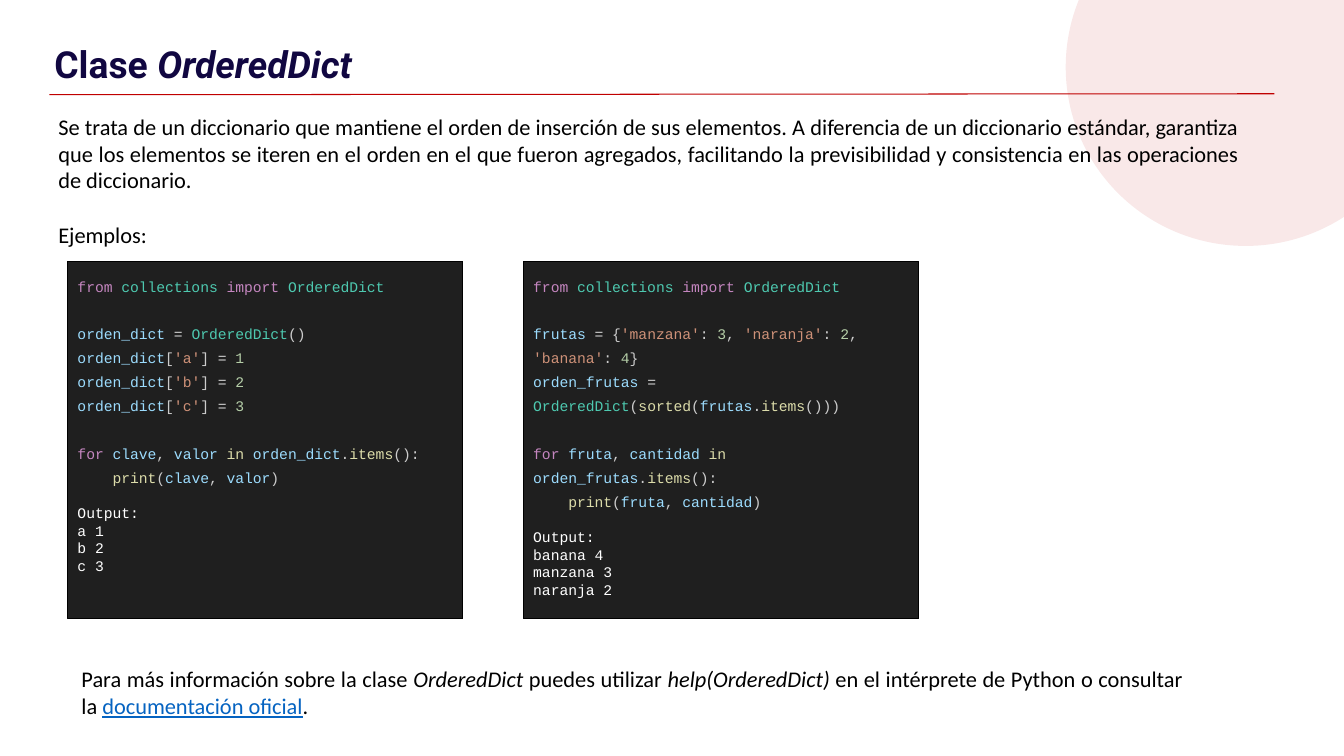
from itertools import groupby
from lxml.etree import SubElement as Sub
from pptx import Presentation
from pptx.dml.color import RGBColor
from pptx.enum.shapes import MSO_CONNECTOR as Conn, MSO_SHAPE as Kind
from pptx.enum.text import MSO_ANCHOR as Anchor, PP_ALIGN as Align
from pptx.oxml.ns import qn
from pptx.util import Pt

SCALE = 9144
RED = RGBColor(0xC0, 0x00, 0x00)
NAVY = RGBColor(0x11, 0x07, 0x41)
BLACK = RGBColor(0x00, 0x00, 0x00)
WHITE = RGBColor(0xFF, 0xFF, 0xFF)
BLUE = RGBColor(0x05, 0x63, 0xC1)
DARK = RGBColor(0x1F, 0x1F, 0x1F)
PINK = RGBColor(0xC5, 0x86, 0xC0)
TEAL = RGBColor(0x4E, 0xC9, 0xB0)
SAND = RGBColor(0xDC, 0xDC, 0xAA)
SKY = RGBColor(0x9C, 0xDC, 0xFE)
RUST = RGBColor(0xCE, 0x91, 0x78)
LIME = RGBColor(0xB5, 0xCE, 0xA8)
GRAY = RGBColor(0xCC, 0xCC, 0xCC)
PALE = RGBColor(0xD4, 0xD4, 0xD4)

WORDS = {
    **dict.fromkeys(("from", "import", "for"), PINK),
    **dict.fromkeys(("collections", "OrderedDict"), TEAL),
    **dict.fromkeys(("in", "items", "print", "sorted"), SAND),
    "=": PALE,
}

DICT_CODE = """from collections import OrderedDict

orden_dict = OrderedDict()
orden_dict['a'] = 1
orden_dict['b'] = 2
orden_dict['c'] = 3

for clave, valor in orden_dict.items():
    print(clave, valor)"""

FRUIT_CODE = """from collections import OrderedDict

frutas = {'manzana': 3, 'naranja': 2, 'banana': 4}
orden_frutas = OrderedDict(sorted(frutas.items()))

for fruta, cantidad in orden_frutas.items():
    print(fruta, cantidad)"""

INTRO = (
    "Se trata de un diccionario que mantiene el orden de inserción de sus elementos. "
    "A diferencia de un diccionario estándar, garantiza que los elementos se iteren en "
    "el orden en el que fueron agregados, facilitando la previsibilidad y consistencia "
    "en las operaciones de diccionario."
)


def px(*nums):
    return [num * SCALE for num in nums]


def group(char):
    if char.isalnum() or char in "_'":
        return "word"
    return "sign" if char == "=" else "rest"


def shade(token, kind):
    if token in WORDS:
        return WORDS[token]
    if kind == "rest":
        return GRAY
    if token[0] == "'":
        return RUST
    return LIME if token.isdigit() else SKY


class Deck:
    body, mono, head = "Calibri", "Courier New", "Roboto"
    text_size, code_size, head_size = 16, 10.5, 26.6
    text_gap, code_gap, out_gap = 19.5, 17, 12.5
    lead = 1.36

    def __init__(self, wide, high):
        self.prs = Presentation()
        self.prs.slide_width, self.prs.slide_height = px(wide, high)
        self.slide = self.prs.slides.add_slide(self.prs.slide_layouts[6])

    def shape(self, kind, box, fill, line=None, alpha=None):
        item = self.slide.shapes.add_shape(kind, *px(*box))
        item.shadow.inherit = False
        item.fill.solid()
        item.fill.fore_color.rgb = fill
        if alpha:
            tint = item.fill._xPr.find(".//" + qn("a:srgbClr"))
            Sub(tint, qn("a:alpha"), val=str(alpha * 1000))
        if line is None:
            item.line.fill.background()
        else:
            item.line.color.rgb = line
            item.line.width = Pt(0.75)
        return item

    def rule(self, start, end, color):
        line = self.slide.shapes.add_connector(Conn.STRAIGHT, *px(*start, *end))
        line.line.color.rgb = color
        line.line.width = Pt(0.75)
        Sub(line._element.spPr, qn("a:effectLst"))

    def frame(self, item, pads):
        frame = item.text_frame
        frame.word_wrap = True
        frame.vertical_anchor = Anchor.TOP
        (frame.margin_left, frame.margin_top,
         frame.margin_right, frame.margin_bottom) = px(*pads)
        return frame

    def para(self, frame, first, gap=0, lead=None, align=Align.LEFT):
        para = frame.paragraphs[0] if first else frame.add_paragraph()
        para.alignment = align
        if gap:
            para.space_before = Pt(gap)
        if lead:
            para.line_spacing = lead
        return para

    def run(self, para, text, face, size, color, bold=False, slant=False, under=False):
        run = para.add_run()
        run.text = text
        font = run.font
        font.name, font.size, font.color.rgb = face, Pt(size), color
        font.bold, font.italic, font.underline = bold, slant, under

    def title(self, box, runs):
        item = self.slide.shapes.add_textbox(*px(*box))
        para = self.para(self.frame(item, (13, 41, 13, 0)), True)
        for text, slant in runs:
            self.run(para, text, self.head, self.head_size, NAVY, True, slant)

    def prose(self, box, paras):
        item = self.slide.shapes.add_textbox(*px(*box))
        frame = self.frame(item, (10, 5, 10, 5))
        for num, runs in enumerate(paras):
            gap = self.text_gap if num else 0
            para = self.para(frame, num == 0, gap, align=Align.JUSTIFY)
            for text, style in runs:
                style = {"color": BLACK, **style}
                self.run(para, text, self.body, self.text_size, **style)

    def code(self, box, source, output):
        item = self.shape(Kind.RECTANGLE, box, DARK, BLACK)
        frame = self.frame(item, (10, 10, 10, 10))
        first, gap = True, 0
        for line in source.splitlines():
            if not line:
                gap = self.code_gap
                continue
            para = self.para(frame, first, gap, self.lead)
            first, gap = False, 0
            for kind, chars in groupby(line, group):
                token = "".join(chars)
                self.run(para, token, self.mono, self.code_size, shade(token, kind))
        for num, line in enumerate(["Output:", *output]):
            para = self.para(frame, False, 0 if num else self.out_gap)
            self.run(para, line, self.mono, self.code_size, WHITE)


def main():
    deck = Deck(1333, 750)
    deck.shape(Kind.OVAL, (1057, -111, 357, 355), RED, alpha=9)
    deck.rule((49, 94), (1264, 93), RED)
    deck.title((41, 0, 1147, 77), [("Clase ", False), ("OrderedDict", True)])
    deck.prose((48, 107, 1191, 145), [[(INTRO, {})], [("Ejemplos:", {})]])
    samples = [
        (DICT_CODE, ["a 1", "b 2", "c 3"]),
        (FRUIT_CODE, ["banana 4", "manzana 3", "naranja 2"]),
    ]
    for num, (source, output) in enumerate(samples):
        deck.code((67 + 452 * num, 259, 392, 355), source, output)
    deck.prose((71, 655, 1112, 60), [[
        ("Para más información sobre la clase ", {}),
        ("OrderedDict ", {"slant": True}),
        ("puedes utilizar ", {}),
        ("help(OrderedDict)", {"slant": True}),
        (" en el intérprete de Python o consultar la ", {}),
        ("documentación oficial", {"color": BLUE, "under": True}),
        (".", {}),
    ]])
    deck.prs.save("out.pptx")


if __name__ == "__main__":
    main()
